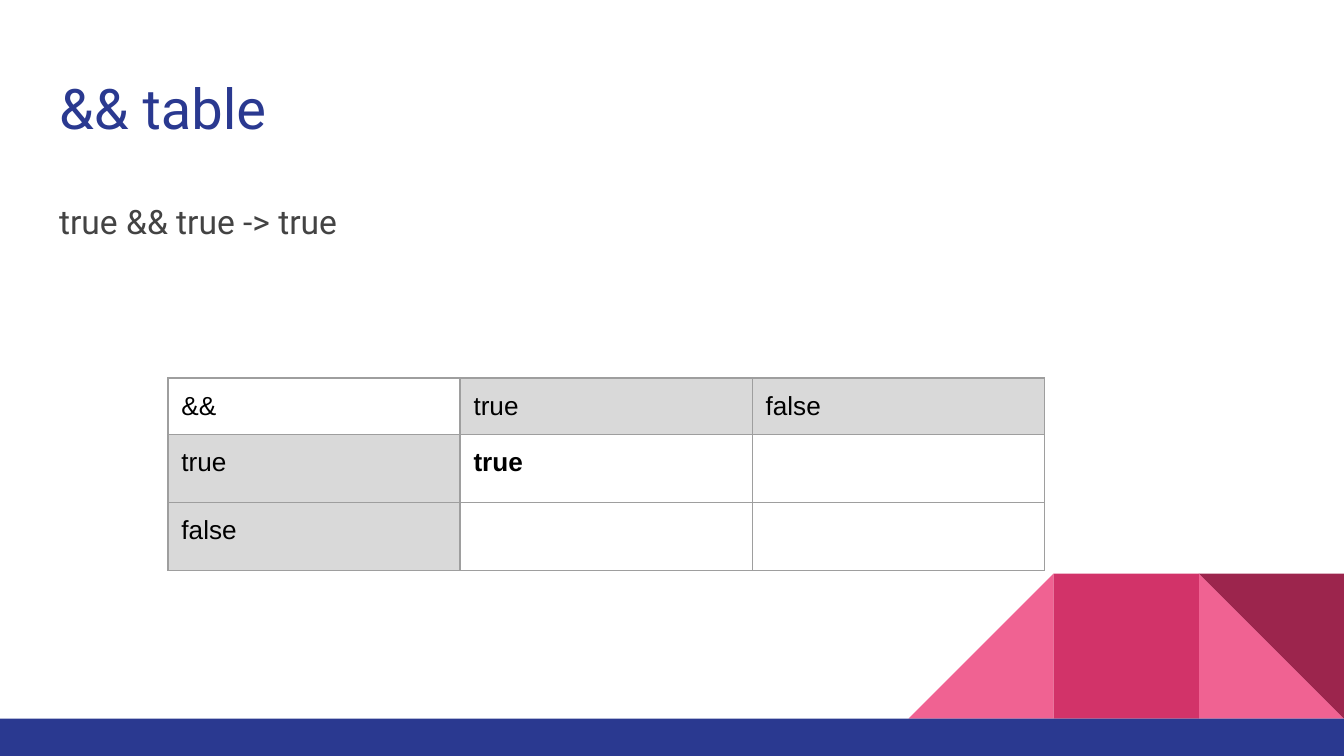
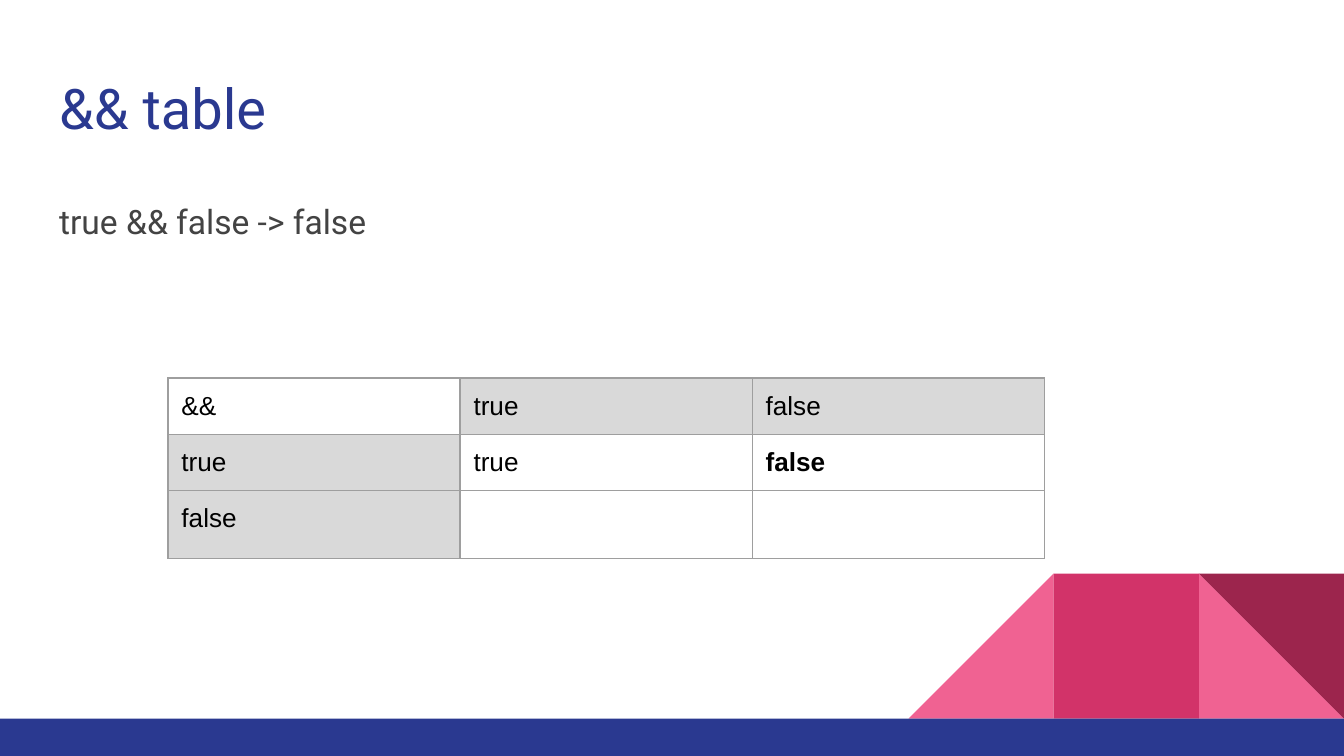
"""Build two slides that fill in the truth table of the && operator."""
from lxml.etree import SubElement as Sub
from pptx import Presentation
from pptx.dml.color import RGBColor
from pptx.enum.shapes import MSO_SHAPE as Kind
from pptx.enum.text import MSO_ANCHOR as Anchor, MSO_AUTO_SIZE as Auto, PP_ALIGN as Align
from pptx.oxml.ns import qn
from pptx.util import Pt

WIDE, HIGH = 720, 405
BAND = 20
SIDE = 77.75
PAD = 7.2
NAVY, PINK, ROSE, WINE = "2A3990", "F06292", "D23369", "9C254D"
GRAY, RULE, INK, BLACK = "D9D9D9", "9E9E9E", "434343", "000000"
HEADS = ["true", "false"]


def tint(code):
    return RGBColor.from_string(code)


def write(frame, text, size=14, font="Arial", color=BLACK, bold=False,
          line=1.0, after=0):
    para = frame.paragraphs[0]
    para.alignment = Align.LEFT
    para.line_spacing = line
    para.space_before, para.space_after = Pt(0), Pt(after)
    run = para.add_run()
    run.text = text
    run.font.size, run.font.name, run.font.bold = Pt(size), font, bold
    run.font.color.rgb = tint(color)
    return para


def pad(item):
    item.margin_left = item.margin_right = Pt(PAD)
    item.margin_top = item.margin_bottom = Pt(PAD)
    item.vertical_anchor = Anchor.TOP


def place(holder, text, left, top, width, height, **form):
    holder.left, holder.top = Pt(left), Pt(top)
    holder.width, holder.height = Pt(width), Pt(height)
    frame = holder.text_frame
    pad(frame)
    frame.word_wrap, frame.auto_size = True, Auto.NONE
    para = write(frame, text, font="Roboto", **form)
    props = para._p.get_or_add_pPr()
    props.set("marL", "0")
    props.set("indent", "0")
    Sub(props, qn("a:buNone"))


def block(slide, kind, left, top, width, height, color, turn=0):
    shape = slide.shapes.add_shape(kind, Pt(left), Pt(top), Pt(width), Pt(height))
    shape.shadow.inherit = False
    shape.fill.solid()
    shape.fill.fore_color.rgb = tint(color)
    shape.line.fill.background()
    shape.rotation = turn
    return shape


def decor(slide, layout):
    """Draw the pink corner and the navy band, then hand them to the layout."""
    base = HIGH - BAND
    tiles = [(1, Kind.RIGHT_TRIANGLE, PINK, 0), (3, Kind.RIGHT_TRIANGLE, PINK, 270),
             (2, Kind.RECTANGLE, ROSE, 0), (1, Kind.RIGHT_TRIANGLE, WINE, 180)]
    parts = [block(slide, kind, WIDE - step * SIDE, base - SIDE, SIDE, SIDE, color, turn)
             for step, kind, color, turn in tiles]
    parts.append(block(slide, Kind.RECTANGLE, 0, base, WIDE, BAND, NAVY))
    for part in parts:
        layout.shapes.element.append(part.element)


def edge(cell):
    props = cell._tc.get_or_add_tcPr()
    for side in ("lnL", "lnR", "lnT", "lnB"):
        line = Sub(props, qn("a:" + side), w=str(Pt(0.75)))
        Sub(Sub(line, qn("a:solidFill")), qn("a:srgbClr"), val=RULE)


def grid(slide, known):
    """Draw the truth table with the known results, the last one in bold."""
    col, row = 156.5, 30
    count = len(HEADS) + 1
    table = slide.shapes.add_table(count, count, Pt(90), Pt(202.5),
                                   Pt(col * count), Pt(row * count)).table
    table.first_row = table.horz_banding = False
    for i in range(count):
        table.columns[i].width, table.rows[i].height = Pt(col), Pt(row)
    words = {(0, 0): "&&"}
    for i, head in enumerate(HEADS, 1):
        words[0, i] = words[i, 0] = head
    spots = [(r, c) for r in range(1, count) for c in range(1, count)]
    words.update(zip(spots, known))
    fresh = spots[len(known) - 1]
    for r in range(count):
        for c in range(count):
            cell = table.cell(r, c)
            pad(cell)
            edge(cell)
            if (r == 0) != (c == 0):
                cell.fill.solid()
                cell.fill.fore_color.rgb = tint(GRAY)
            else:
                cell.fill.background()
            if (r, c) in words:
                write(cell.text_frame, words[r, c], bold=(r, c) == fresh)


def main():
    deck = Presentation()
    deck.slide_width, deck.slide_height = Pt(WIDE), Pt(HIGH)
    layout = deck.slide_layouts[1]
    known = []
    for right in HEADS:
        known.append(right)
        slide = deck.slides.add_slide(layout)
        if len(known) == 1:
            decor(slide, layout)
        title, body = slide.placeholders
        place(title, "&& table", 24.5, 32.4, 671, 47.5, size=30, color=NAVY)
        place(body, f"true && {right} -> {right}", 24.5, 97.2, 196, 47.5,
              size=18, color=INK, line=1.15, after=16)
        grid(slide, known)
    deck.save("out.pptx")


if __name__ == "__main__":
    main()
